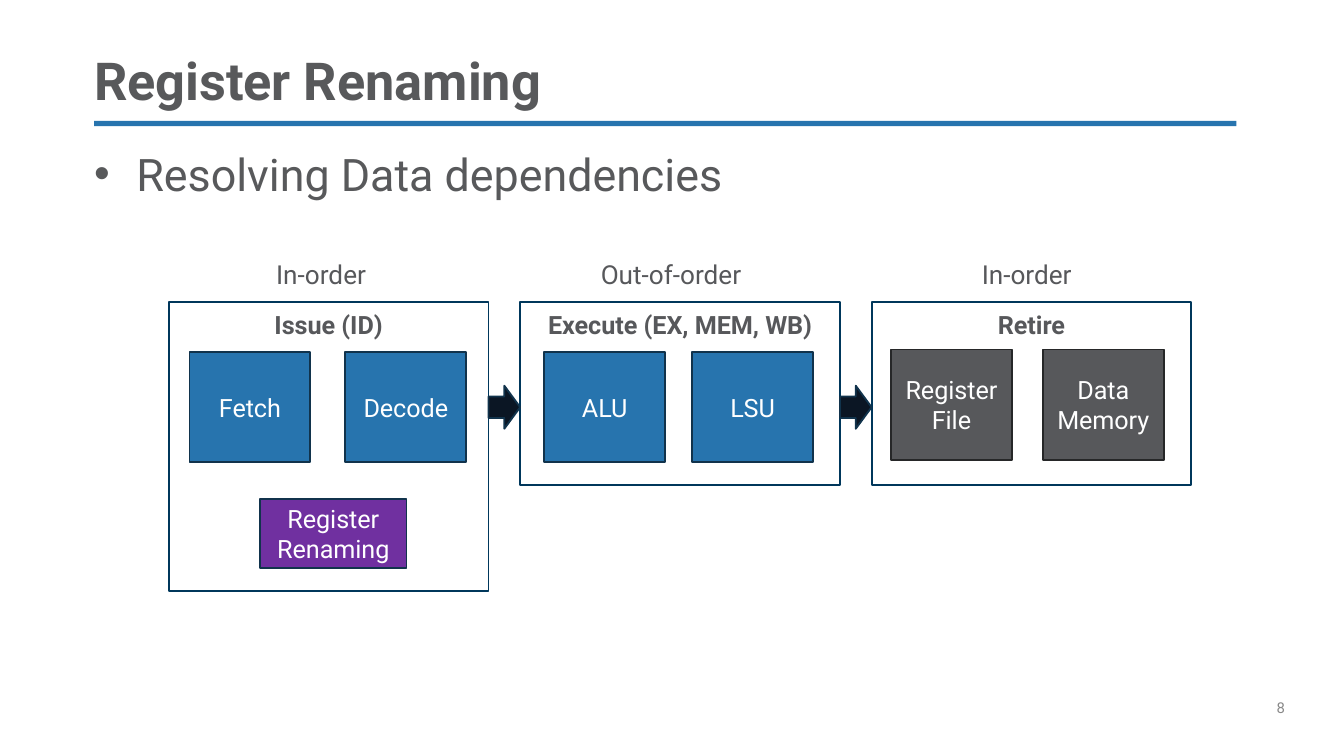
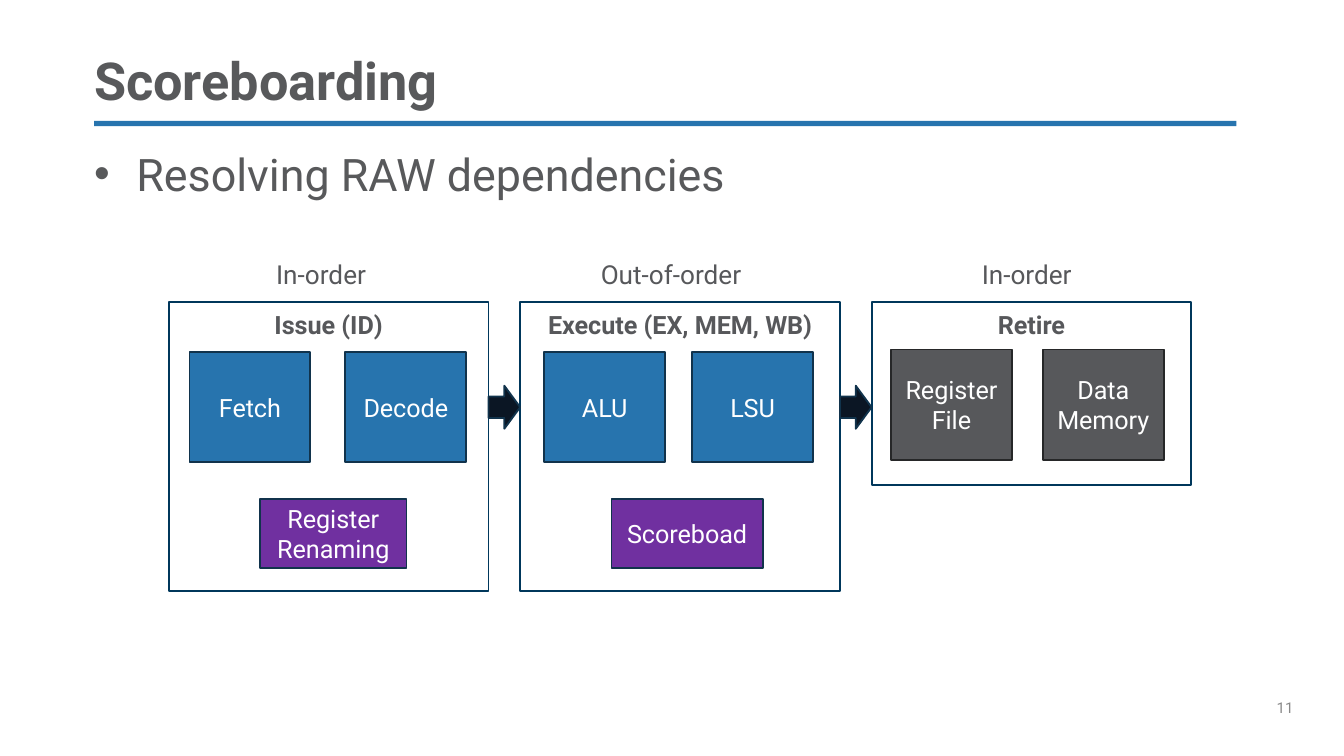
import pptx
import pptx.util
import pptx.dml.color
import pptx.enum.shapes
import pptx.enum.text
import pptx.oxml.ns
from lxml import etree

SHAPE = pptx.enum.shapes.MSO_SHAPE
ALIGN = pptx.enum.text.PP_ALIGN
ANCHOR = pptx.enum.text.MSO_ANCHOR

PX = 4572  # EMU per px, 200 px to the inch
SLIDE_W, SLIDE_H = 2000, 1125
FONT = "Roboto"
COLORS = {
    "white": "FFFFFF", "title": "58595B", "label": "57585B", "number": "898989",
    "blue": "2774AE", "gray": "57585B", "purple": "7030A0", "arrow": "0B1624",
    "frame_line": "00375B", "line": "11334C", "gray_line": "262728",
}

# Each slide: title, bullet, page number, and the extra unit (text, width) per stage
SLIDES = [
    ("Register Renaming", "Resolving Data dependencies", "8",
     {"Issue (ID)": ("Register\nRenaming", 218)}),
    ("Scoreboarding", "Resolving RAW dependencies", "11",
     {"Issue (ID)": ("Register\nRenaming", 218),
      "Execute (EX, MEM, WB)": ("Scoreboad", 225)}),
]

# Unit and label positions are offsets from the left edge of their stage
STAGES = [
    {"name": "Issue (ID)", "order": "In-order", "label_x": 160, "label_w": 206,
     "units": ["Fetch", "Decode"], "unit_x": 31, "step": 232, "unit_y": 524,
     "fill": "blue", "line": "line"},
    {"name": "Execute (EX, MEM, WB)", "order": "Out-of-order", "label_x": 120, "label_w": 236,
     "units": ["ALU", "LSU"], "unit_x": 36, "step": 220, "unit_y": 524,
     "fill": "blue", "line": "line"},
    {"name": "Retire", "order": "In-order", "label_x": 164, "label_w": 206,
     "units": ["Register File", "Data Memory"], "unit_x": 29, "step": 226, "unit_y": 520,
     "fill": "gray", "line": "gray_line"},
]

MARGIN, TITLE_W = 140, 1700
STAGE_X, STAGE_Y, STAGE_W, STAGE_GAP = 251, 450, 476, 47
STAGE_H, TALL_STAGE_H = 272, 430
UNIT_W, UNIT_H = 180, 164
EXTRA_X, EXTRA_Y, EXTRA_H = 136, 743, 102
LABEL_Y, LABEL_H = 384, 48
ARROW_Y, ARROW_H = 574, 64


def rgb(name):
    return pptx.dml.color.RGBColor.from_string(COLORS[name])


def emu(*lengths):
    return [n * PX for n in lengths]


def write(tf, text, size, color, bold=False, align=ALIGN.LEFT):
    tf.word_wrap = True
    tf.text = text
    for p in tf.paragraphs:
        p.alignment = align
        for r in p.runs:
            r.font.name = FONT
            r.font.size = pptx.util.Pt(size)
            r.font.bold = bold
            r.font.color.rgb = rgb(color)


def add_label(s, box, text, size, color, bold=False):
    """Add a text box without insets and return its text frame."""
    tf = s.shapes.add_textbox(*emu(*box)).text_frame
    tf.margin_left = tf.margin_top = tf.margin_right = tf.margin_bottom = 0
    write(tf, text, size, color, bold)
    return tf


def add_block(s, box, fill, line=None, kind=SHAPE.RECTANGLE):
    sp = s.shapes.add_shape(kind, *emu(*box))
    sp.shadow.inherit = False
    sp.fill.solid()
    sp.fill.fore_color.rgb = rgb(fill)
    if line:
        sp.line.color.rgb = rgb(line)
        sp.line.width = pptx.util.Pt(1)
    else:
        sp.line.fill.background()
    return sp


def add_unit(s, box, text, fill, line):
    tf = add_block(s, box, fill, line).text_frame
    tf.vertical_anchor = ANCHOR.MIDDLE
    write(tf, text, 13.5, "white", align=ALIGN.CENTER)


def add_bullet(p, indent):
    pPr = p._p.get_or_add_pPr()
    pPr.set("marL", str(indent * PX))
    pPr.set("indent", str(-indent * PX))
    etree.SubElement(pPr, pptx.oxml.ns.qn("a:buFont"), typeface="Arial")
    etree.SubElement(pPr, pptx.oxml.ns.qn("a:buChar"), char="•")


def add_heading(s, title, bullet, number):
    add_block(s, (MARGIN, 180, TITLE_W, 8), "blue")
    tf = add_label(s, (MARGIN, 80, TITLE_W, 86), title, 28, "title", bold=True)
    tf.vertical_anchor = ANCHOR.BOTTOM
    tf.paragraphs[0].line_spacing = 0.9
    tf = add_label(s, (MARGIN, 218, SLIDE_W - MARGIN, 164), bullet, 24, "title")
    add_bullet(tf.paragraphs[0], 63)
    add_label(s, (1900, 1040, 100, 80), number, 8, "number")


def add_stage(s, x, stage, extra):
    height = TALL_STAGE_H if extra else STAGE_H
    frame = add_block(s, (x, STAGE_Y, STAGE_W, height), "white", "frame_line")
    frame.text_frame.vertical_anchor = ANCHOR.TOP
    write(frame.text_frame, stage["name"], 13.5, "label", True, ALIGN.CENTER)
    add_label(s, (x + stage["label_x"], LABEL_Y, stage["label_w"], LABEL_H),
              stage["order"], 14, "label")
    for i, unit in enumerate(stage["units"]):
        unit_x = x + stage["unit_x"] + i * stage["step"]
        add_unit(s, (unit_x, stage["unit_y"], UNIT_W, UNIT_H),
                 unit, stage["fill"], stage["line"])
    if extra:
        text, width = extra
        add_unit(s, (x + EXTRA_X, EXTRA_Y, width, EXTRA_H), text, "purple", "line")


def add_pipeline(s, extras):
    lefts = [STAGE_X + i * (STAGE_W + STAGE_GAP) for i in range(len(STAGES))]
    for x, stage in zip(lefts, STAGES):
        add_stage(s, x, stage, extras.get(stage["name"]))
    for x in lefts[:-1]:
        add_block(s, (x + STAGE_W, ARROW_Y, STAGE_GAP, ARROW_H),
                  "arrow", "line", SHAPE.RIGHT_ARROW)


def main():
    prs = pptx.Presentation()
    prs.slide_width, prs.slide_height = emu(SLIDE_W, SLIDE_H)
    for title, bullet, number, extras in SLIDES:
        s = prs.slides.add_slide(prs.slide_layouts[6])
        add_heading(s, title, bullet, number)
        add_pipeline(s, extras)
    prs.save("out.pptx")


if __name__ == "__main__":
    main()
